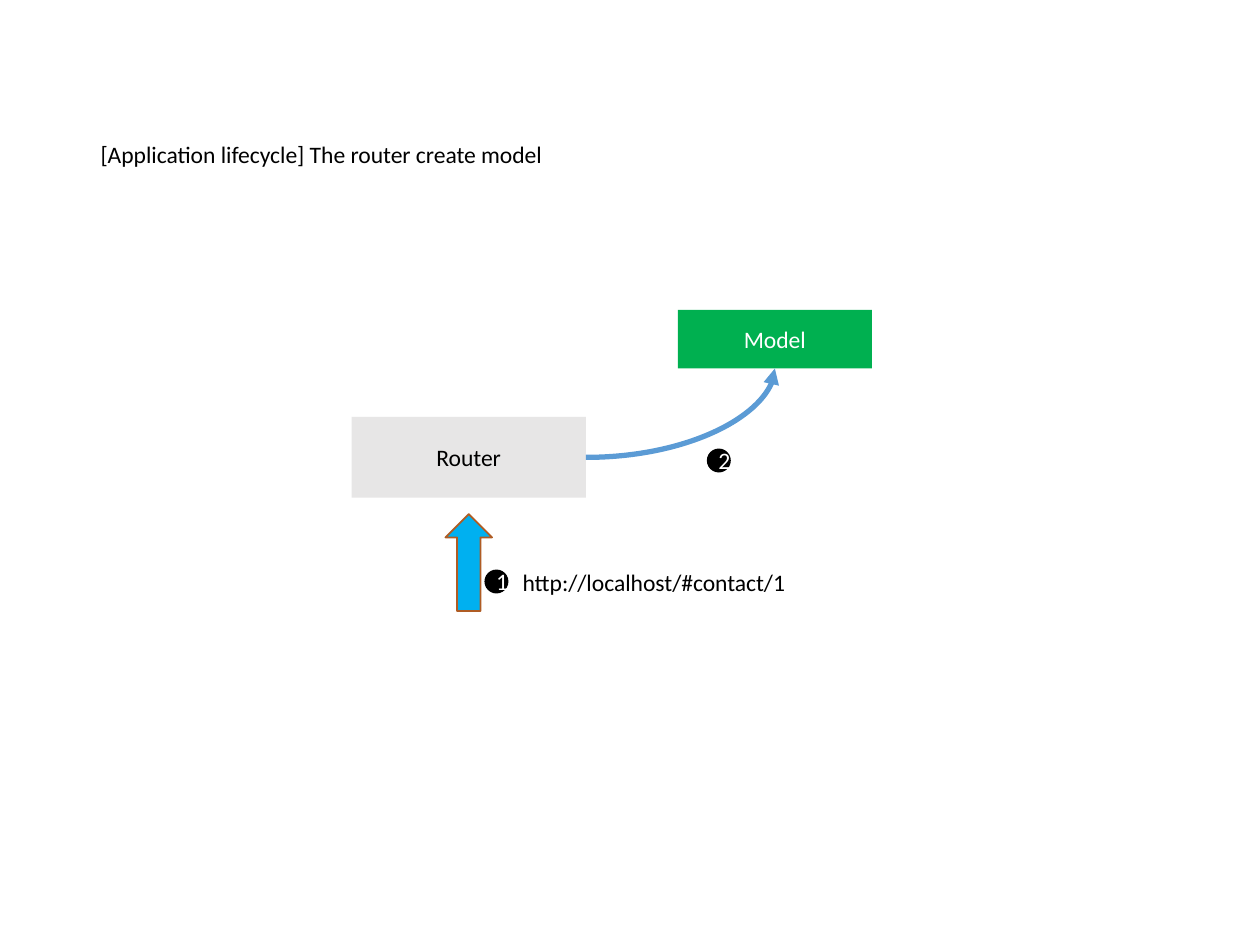
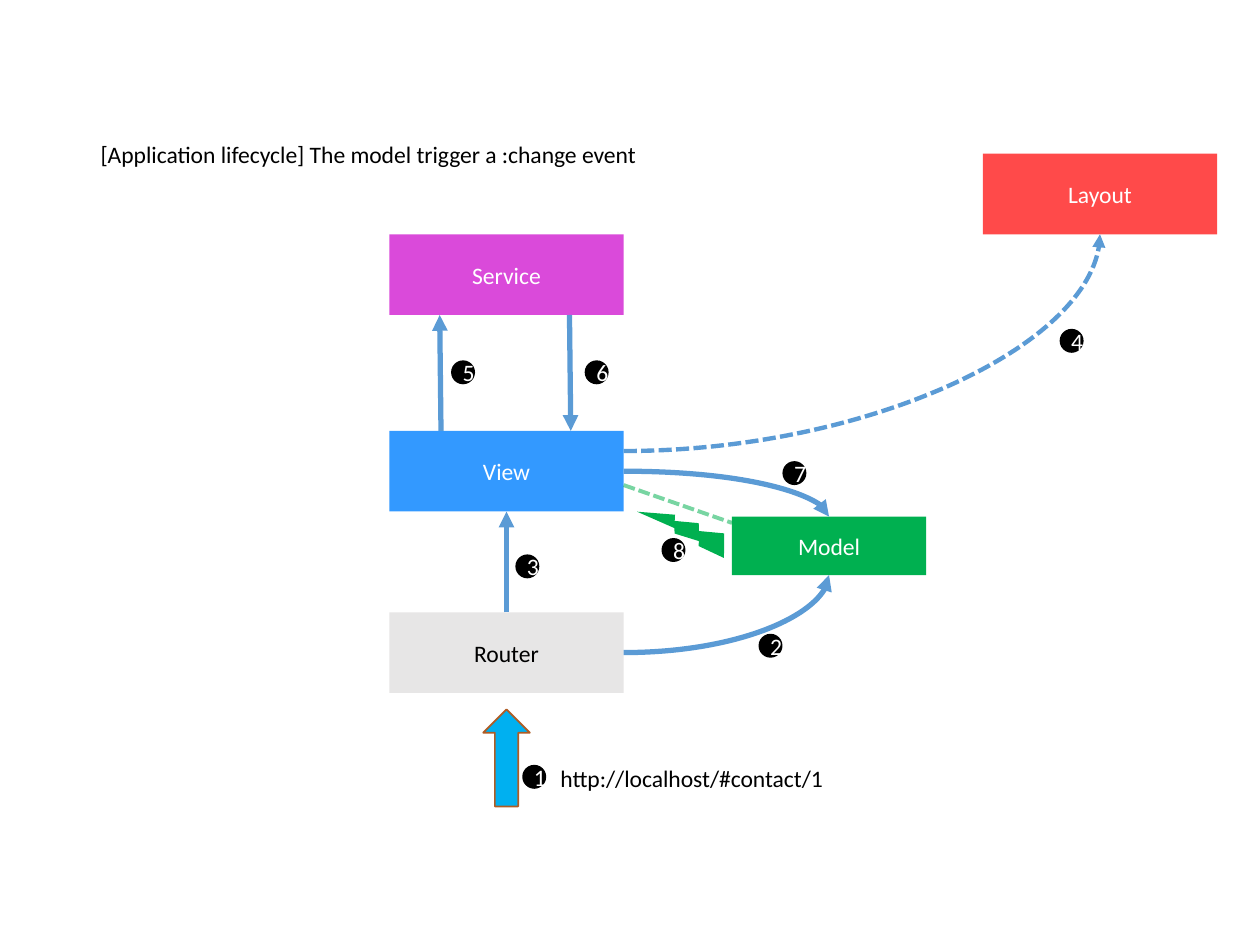
from lxml.etree import SubElement
from pptx import Presentation
from pptx.dml.color import RGBColor
from pptx.enum.dml import MSO_LINE
from pptx.enum.shapes import MSO_CONNECTOR, MSO_SHAPE
from pptx.enum.text import MSO_ANCHOR, MSO_AUTO_SIZE, PP_ALIGN
from pptx.oxml.ns import qn
from pptx.util import Inches, Pt

BLACK = RGBColor(0x00, 0x00, 0x00)
WHITE = RGBColor(0xFF, 0xFF, 0xFF)
GREY = RGBColor(0xE7, 0xE6, 0xE6)
GREEN = RGBColor(0x00, 0xB0, 0x50)
SKY = RGBColor(0x00, 0xB0, 0xF0)
BROWN = RGBColor(0xAF, 0x5C, 0x24)
BLUE = RGBColor(0x33, 0x99, 0xFF)
RED = RGBColor(0xFF, 0x00, 0x00)
PURPLE = RGBColor(0xCC, 0x00, 0xCC)
LINK = RGBColor(0x5B, 0x9B, 0xD5)

prs = Presentation()
prs.slide_width, prs.slide_height = Inches(10), Inches(7.5)
U = prs.slide_width // 100
BOX_W, BOX_H = 18.6, 6.4
MODEL_W, MODEL_H = 15.4, 4.65
BADGE = 1.9


def add_block(s, kind, x, y, w, h, fill=None, text="", color=WHITE, alpha=None):
    box = [round(v * U) for v in (x, y, w, h)]
    if kind is None:
        sp = s.shapes.add_textbox(*box)
    else:
        sp = s.shapes.add_shape(kind, *box)
        sp.shadow.inherit = False
        sp.fill.solid()
        sp.fill.fore_color.rgb = fill
        sp.line.fill.background()
    if alpha:
        SubElement(sp.fill._xPr.find(".//" + qn("a:srgbClr")), qn("a:alpha"), val=str(alpha * 1000))
    if text:
        tf = sp.text_frame
        tf.word_wrap = True
        tf.text = text
        p = tf.paragraphs[0]
        if kind is None:
            tf.auto_size = MSO_AUTO_SIZE.SHAPE_TO_FIT_TEXT
        else:
            tf.vertical_anchor = MSO_ANCHOR.MIDDLE
            tf.margin_left = tf.margin_right = Inches(0.07)
            tf.margin_top = tf.margin_bottom = Inches(0.04)
            p.alignment = PP_ALIGN.CENTER
        font = p.runs[0].font
        font.name, font.size, font.color.rgb = "Calibri", Pt(13.5), color
    return sp


def add_link(s, x1, y1, x2, y2, curved=False, color=LINK, width=3, dashed=False, arrow=True, alpha=None):
    kind = MSO_CONNECTOR.CURVE if curved else MSO_CONNECTOR.STRAIGHT
    cx = s.shapes.add_connector(kind, *[round(v * U) for v in (x1, y1, x2, y2)])
    if curved:
        cx._element.spPr.find(qn("a:prstGeom")).set("prst", "curvedConnector2")
    cx.line.color.rgb = color
    cx.line.width = Pt(width)
    if dashed:
        cx.line.dash_style = MSO_LINE.SQUARE_DOT
    ln = cx.line._get_or_add_ln()
    if alpha:
        SubElement(ln.find(".//" + qn("a:srgbClr")), qn("a:alpha"), val=str(alpha * 1000))
    if arrow:
        SubElement(ln, qn("a:tailEnd"), type="triangle")
    SubElement(cx._element.spPr, qn("a:effectLst"))
    return cx


pages = [
    ("[Application lifecycle] The router create model", (27.9, 33.1), (53.8, 24.6),
     [("2", 56.1, 35.6)]),
    ("[Application lifecycle] The model trigger a :change event", (30.9, 48.6), (58.1, 41),
     [("2", 60.2, 50.3), ("3", 40.9, 44), ("4", 84.1, 26.1), ("5", 35.8, 28.6),
      ("6", 46.4, 28.6), ("7", 62.1, 36.6), ("8", 52.5, 42.7)]),
]

for title, (rx, ry), (mx, my), badges in pages:
    s = prs.slides.add_slide(prs.slide_layouts[6])
    add_block(s, None, 7, 10.6, 63.3, 3.3, text=title, color=BLACK)
    router = add_block(s, MSO_SHAPE.RECTANGLE, rx, ry, BOX_W, BOX_H, GREY, "Router", BLACK)
    request = add_block(s, MSO_SHAPE.DOWN_ARROW, rx + 7.45, ry + 7.7, 3.7, 7.7, SKY)
    request.rotation = 180
    request.line.color.rgb = BROWN
    request.line.width = Pt(1)
    add_block(s, None, rx + 12.6, ry + 11.5, 24.7, 3.3, text="http://localhost/#contact/1", color=BLACK)
    add_block(s, MSO_SHAPE.RECTANGLE, mx, my, MODEL_W, MODEL_H, GREEN, "Model")
    add_link(s, rx + BOX_W, ry + BOX_H / 2, mx + MODEL_W / 2, my + MODEL_H, curved=True)
    for number, x, y in [("1", rx + 10.55, ry + 12.1)] + badges:
        add_block(s, MSO_SHAPE.FLOWCHART_CONNECTOR, x, y, BADGE, BADGE, BLACK, number)

view_y, service_y = 34.2, 18.6
layout_x, layout_y = 78, 12.2
right = rx + BOX_W
view = add_block(s, MSO_SHAPE.RECTANGLE, rx, view_y, BOX_W, BOX_H, BLUE, "View")
add_block(s, MSO_SHAPE.RECTANGLE, rx, service_y, BOX_W, BOX_H, PURPLE, "Service", alpha=71)
add_block(s, MSO_SHAPE.RECTANGLE, layout_x, layout_y, BOX_W, BOX_H, RED, "Layout", alpha=71)

create_view = add_link(s, rx + BOX_W / 2, ry, rx + BOX_W / 2, view_y + BOX_H)
create_view.begin_connect(router, 0)
create_view.end_connect(view, 2)
add_link(s, 35, view_y, 34.9, service_y + BOX_H)
add_link(s, 45.2, service_y + BOX_H, 45.3, view_y)
add_link(s, right, view_y + BOX_H / 2, mx + MODEL_W / 2, my, curved=True)
add_link(s, right, view_y + BOX_H / 4, layout_x + BOX_W / 2, layout_y + BOX_H,
         curved=True, width=2.5, dashed=True)
add_link(s, right, 38.5, mx, 41.5, color=GREEN, width=2.25, dashed=True, arrow=False, alpha=53)
add_block(s, MSO_SHAPE.LIGHTNING_BOLT, 52.7, 38.2, 3.6, 7.5, GREEN).rotation = 134.3

prs.save("out.pptx")
